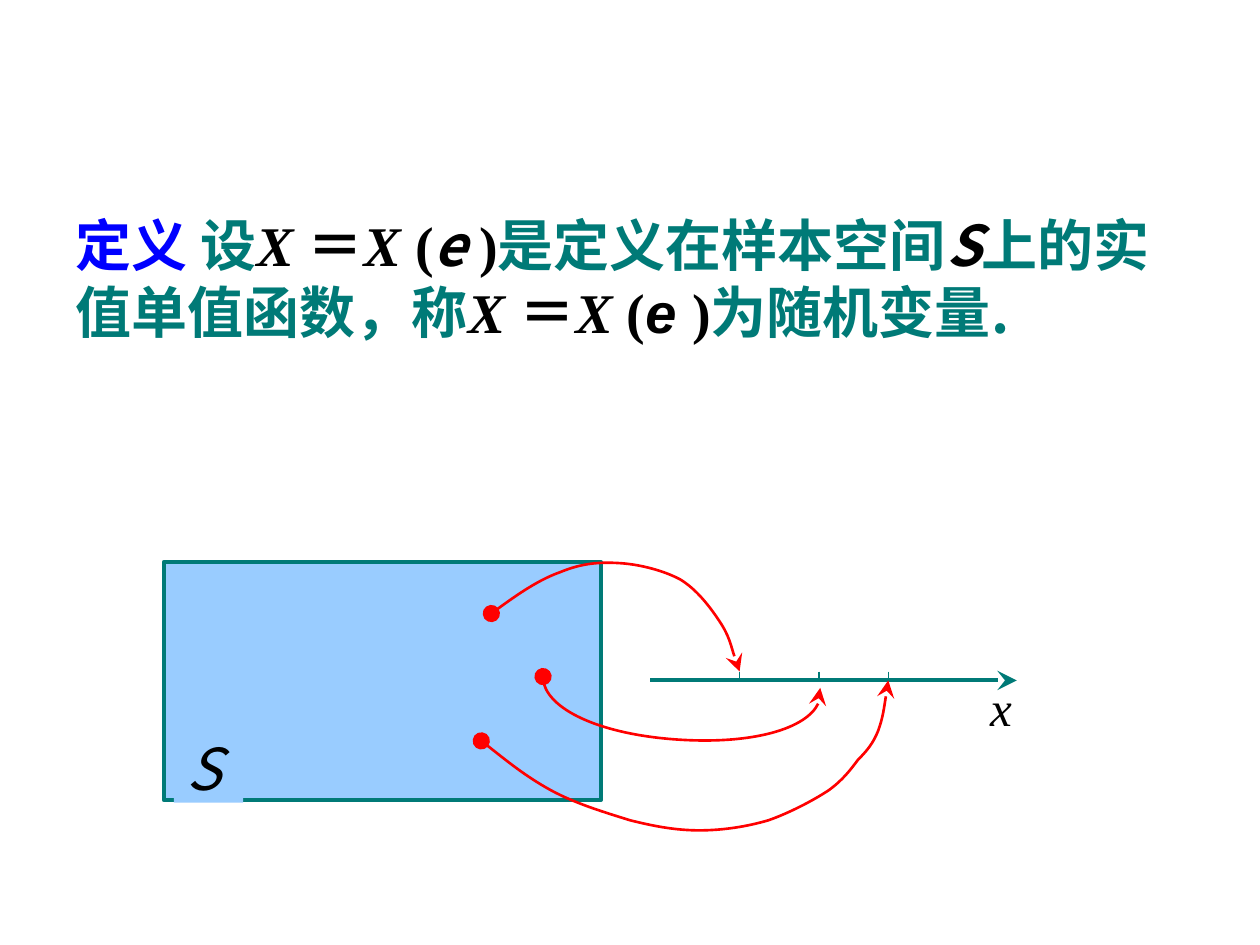
from dataclasses import dataclass

from lxml import etree
from pptx import Presentation
from pptx.dml.color import RGBColor
from pptx.enum.shapes import MSO_CONNECTOR, MSO_SHAPE
from pptx.enum.text import MSO_ANCHOR, PP_ALIGN
from pptx.oxml.ns import qn
from pptx.util import Emu, Inches, Pt

STRAIGHT = MSO_CONNECTOR.STRAIGHT
RECTANGLE = MSO_SHAPE.RECTANGLE
TOP = MSO_ANCHOR.TOP
LEFT = PP_ALIGN.LEFT

# The slide is a grid of 100 columns by 75 rows; all lengths are in cells.
CELL = Inches(0.1)
COLUMNS, ROWS = 100, 75

TEAL, BLUE, BLACK, RED, SKY = "007A77", "0000FF", "000000", "FF0000", "99CCFF"
HAN, ROMAN, SANS = "Noto Sans CJK SC", "Times New Roman", "Arial"

AXIS_ROW = 54
TICK_TOP = 53.3
TICK_COLUMNS = (58.7, 65, 70.5)


@dataclass(frozen=True)
class Box:
    column: float
    row: float
    columns: float
    rows: float

    def emu(self) -> list[Emu]:
        return [cells(n) for n in (self.column, self.row, self.columns, self.rows)]


@dataclass(frozen=True)
class Run:
    text: str
    face: str = HAN
    color: str = TEAL
    italic: bool = False


@dataclass(frozen=True)
class Mapping:
    """A curve from an outcome to its value: start point, then Bezier triples."""
    outcome: tuple
    controls: tuple


FUNCTION_START = (
    Run("X ", ROMAN, BLACK, True),
    Run("＝", HAN, BLACK),
    Run("X ", ROMAN, BLACK, True),
    Run("(", ROMAN, BLACK),
)
CLOSING = Run(")", ROMAN, BLACK)
DEFINITION = (
    Run("定义 ", color=BLUE),
    Run("设"),
    *FUNCTION_START,
    Run("e ", HAN, BLACK, True),
    CLOSING,
    Run("是定义在样本空间"),
    Run("S", HAN, BLACK, True),
    Run("上的实值单值函数，称"),
    *FUNCTION_START,
    Run("e ", SANS, BLACK, True),
    CLOSING,
    Run("为随机变量."),
)

MAPPINGS = (
    Mapping((39, 48.7), (
        (40.9, 47.3), (42.8, 46), (44.5, 45.4),
        (46.2, 44.7), (47.6, 44.6), (49.2, 44.7),
        (50.8, 44.8), (52.7, 45.3), (54, 46),
        (55.3, 46.8), (56.3, 48.1), (57.1, 49.3),
        (57.9, 50.5), (58.4, 52.6), (58.7, 53.3))),
    Mapping((43.1, 53.7), (
        (43, 56.1), (47.8, 58.3), (53.8, 58.7),
        (59.9, 59.1), (65, 57.5), (65.1, 55.2),
        (65.1, 55), (65.1, 54.8), (65.1, 54.6))),
    Mapping((38.2, 58.8), (
        (40, 60.2), (41.7, 61.6), (43.7, 62.7),
        (45.7, 63.8), (48.1, 64.5), (50, 65.1),
        (52, 65.6), (53.7, 65.9), (55.5, 65.9),
        (57.4, 65.9), (59.3, 65.6), (61, 65.1),
        (62.7, 64.5), (64.6, 63.5), (65.8, 62.7),
        (66.9, 61.9), (67.5, 61.1), (68.1, 60.3),
        (68.8, 59.6), (69.3, 59), (69.7, 58),
        (70.1, 56.9), (70.4, 54.7), (70.5, 54))),
)


def cells(count: float) -> Emu:
    return Emu(round(count * CELL))


def rgb(color: str) -> RGBColor:
    return RGBColor.from_string(color)


def apply(target, values: dict) -> None:
    for attribute, value in values.items():
        setattr(target, attribute, value)


def style_line(line, color: str, width: float, **ends: str) -> None:
    """Set colour and width; ends maps headEnd and tailEnd to arrowhead types."""
    line.color.rgb = rgb(color)
    line.width = Pt(width)
    for end, kind in ends.items():
        etree.SubElement(line._get_or_add_ln(), qn(f"a:{end}"), type=kind, w="lg", len="lg")


def write(shape, runs: tuple, size: float, bold: bool = False, wrap: bool = False,
          inset: float = 0.5, leading: float | None = None) -> None:
    frame = shape.text_frame
    apply(frame, {"word_wrap": wrap, "vertical_anchor": TOP, "margin_top": cells(inset),
                  "margin_bottom": 0, "margin_left": cells(1), "margin_right": cells(1)})
    paragraph = frame.paragraphs[0]
    paragraph.alignment = LEFT
    if leading:
        paragraph.line_spacing = Pt(leading)
    for item in runs:
        run = paragraph.add_run()
        run.text = item.text
        apply(run.font, {"size": Pt(size), "bold": bold, "italic": item.italic,
                         "name": item.face})
        run.font.color.rgb = rgb(item.color)
        east_asian = etree.SubElement(run.font._element, qn("a:ea"))
        east_asian.set("typeface", item.face)


def add_panel(shapes, box: Box):
    panel = shapes.add_shape(RECTANGLE, *box.emu())
    panel.shadow.inherit = False
    panel.fill.solid()
    panel.fill.fore_color.rgb = rgb(SKY)
    return panel


def add_line(shapes, start: tuple, end: tuple, width: float, **ends: str) -> None:
    line = shapes.add_connector(STRAIGHT, *(cells(n) for n in start + end))
    etree.SubElement(line._element.spPr, qn("a:effectLst"))
    style_line(line.line, TEAL, width, **ends)


def add_mapping(shapes, mapping: Mapping) -> None:
    """Draw the control polygon, then merge each three line steps into one Bezier."""
    builder = shapes.build_freeform(*(cells(n) for n in mapping.outcome))
    builder.add_line_segments(
        [(cells(x), cells(y)) for x, y in mapping.controls], close=False)
    curve = builder.convert_to_shape()
    steps = list(curve._element.iter(qn("a:lnTo")))
    for first in range(0, len(steps), 3):
        bezier = etree.SubElement(steps[first].getparent(), qn("a:cubicBezTo"))
        for step in steps[first:first + 3]:
            bezier.append(step[0])
            step.getparent().remove(step)
    curve.fill.background()
    style_line(curve.line, RED, 1.5, headEnd="oval", tailEnd="stealth")
    curve.shadow.inherit = False


def main() -> None:
    deck = Presentation()
    apply(deck, {"slide_width": cells(COLUMNS), "slide_height": cells(ROWS)})
    shapes = deck.slides.add_slide(deck.slide_layouts[6]).shapes

    definition = shapes.add_textbox(*Box(5, 15.8, 90, 11.7).emu())
    write(definition, DEFINITION, 32, bold=True, wrap=True, inset=1, leading=38)

    sample_space = add_panel(shapes, Box(13, 44.6, 34.7, 18.9))
    style_line(sample_space.line, TEAL, 2.25)
    space_label = add_panel(shapes, Box(13.8, 57.2, 5.5, 6.5))
    space_label.line.fill.background()
    write(space_label, (Run("S", HAN, BLACK, True),), 33, inset=1, leading=39)

    add_line(shapes, (51.6, AXIS_ROW), (80.7, AXIS_ROW), 2.25, tailEnd="stealth")
    axis_label = shapes.add_textbox(*Box(77.6, 53.3, 4.7, 5.7).emu())
    write(axis_label, (Run("x", ROMAN, BLACK, True),), 28)
    for column in TICK_COLUMNS:
        add_line(shapes, (column, TICK_TOP), (column, AXIS_ROW), 0.75)

    for mapping in MAPPINGS:
        add_mapping(shapes, mapping)
    deck.save("out.pptx")


if __name__ == "__main__":
    main()
